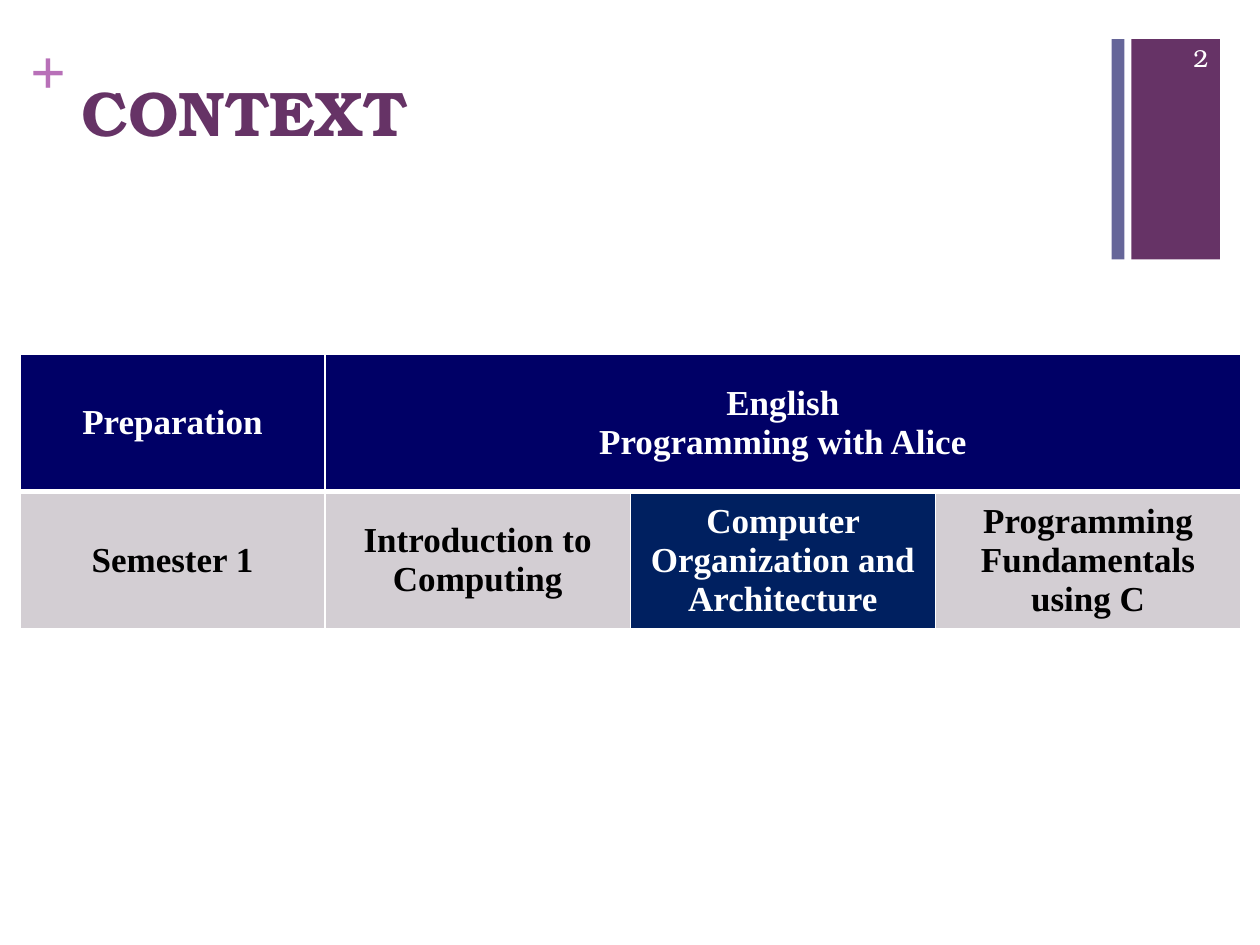
"""Build the course context slide with its semester table."""
import dataclasses
import typing

import lxml.etree
import pptx
import pptx.dml.color
import pptx.enum.shapes
import pptx.enum.text
import pptx.oxml.ns
import pptx.util

Pt = pptx.util.Pt
ALIGN = pptx.enum.text.PP_ALIGN
ANCHOR = pptx.enum.text.MSO_ANCHOR
SERIF = "Times New Roman"
BOOK = "TeX Gyre Bonum"
WHITE, PLUM, NAVY, GREY = "FFFFFF", "663366", "000066", "D3CED3"


@dataclasses.dataclass
class Style:
    font: str
    size: float
    color: str
    bold: bool = True
    align: ALIGN = ALIGN.LEFT
    anchor: ANCHOR = ANCHOR.TOP
    inset: typing.Tuple[float, float] = (7.2, 3.6)


@dataclasses.dataclass
class Bar:
    left: float
    width: float
    color: str


@dataclasses.dataclass
class Entry:
    row: int
    col: int
    text: str
    fill: str
    color: str


def rgb(color: str) -> pptx.dml.color.RGBColor:
    return pptx.dml.color.RGBColor.from_string(color)


def write(tf, text: str, style: Style) -> None:
    tf.text = text
    tf.word_wrap = True
    tf.auto_size = pptx.enum.text.MSO_AUTO_SIZE.NONE
    tf.vertical_anchor = style.anchor
    tf.margin_left = tf.margin_right = Pt(style.inset[0])
    tf.margin_top = tf.margin_bottom = Pt(style.inset[1])
    format_text(tf, style)


def format_text(tf, style: Style) -> None:
    for p in tf.paragraphs:
        p.alignment = style.align
        p.font.name = style.font
        p.font.size = Pt(style.size)
        p.font.bold = style.bold
        p.font.color.rgb = rgb(style.color)


def add_bar(s, bar: Bar) -> None:
    sp = s.shapes.add_shape(pptx.enum.shapes.MSO_SHAPE.RECTANGLE,
                            Pt(bar.left), Pt(22.3), Pt(bar.width), Pt(126))
    sp.shadow.inherit = False
    sp.fill.solid()
    sp.fill.fore_color.rgb = rgb(bar.color)
    sp.line.fill.background()


def add_text(s, left: float, top: float, width: float, height: float,
             text: str, style: Style) -> None:
    sp = s.shapes.add_textbox(Pt(left), Pt(top), Pt(width), Pt(height))
    write(sp.text_frame, text, style)


def set_borders(cell, widths: typing.Dict[str, float]) -> None:
    qn = pptx.oxml.ns.qn
    tc_pr = cell._tc.get_or_add_tcPr()
    for i, (side, width) in enumerate(widths.items()):
        ln = lxml.etree.Element(qn("a:ln" + side), w=str(int(Pt(width))))
        fill = lxml.etree.SubElement(ln, qn("a:solidFill"))
        lxml.etree.SubElement(fill, qn("a:srgbClr"), val=WHITE)
        tc_pr.insert(i, ln)


def add_courses(s, entries: typing.List[Entry]) -> None:
    table = s.shapes.add_table(2, 4, Pt(11.4), Pt(202.5), Pt(697.6), Pt(157)).table
    for col in table.columns:
        col.width = Pt(174.4)
    for row in table.rows:
        row.height = Pt(78.5)
    table.cell(0, 1).merge(table.cell(0, 3))
    for r in range(2):
        for c in range(4):
            set_borders(table.cell(r, c), {"L": 1, "R": 1, "T": 3 if r else 1,
                                           "B": 1 if r else 3})
    for entry in entries:
        cell = table.cell(entry.row, entry.col)
        cell.fill.solid()
        cell.fill.fore_color.rgb = rgb(entry.fill)
        cell.vertical_anchor = ANCHOR.MIDDLE
        cell.text = entry.text
        format_text(cell.text_frame, Style(SERIF, 20, entry.color, align=ALIGN.CENTER))


def main() -> None:
    prs = pptx.Presentation()
    prs.slide_width, prs.slide_height = Pt(720), Pt(540)
    s = prs.slides.add_slide(prs.slide_layouts[5])

    for bar in (Bar(646.5, 50.6, PLUM), Bar(635.2, 7.3, "666699")):
        add_bar(s, bar)
    add_text(s, 17.3, 18, 20.9, 43.9, "+", Style(SERIF, 36, "B870B8", inset=(0, 0)))

    title = s.shapes.title
    title.left, title.top, title.width, title.height = Pt(39.6), Pt(38.2), Pt(594.7), Pt(87.8)
    write(title.text_frame, "CONTEXT", Style(BOOK, 36, PLUM))
    add_text(s, 653.8, 18.7, 43.9, 28.8, "2",
             Style(BOOK, 14, WHITE, bold=False, align=ALIGN.RIGHT, anchor=ANCHOR.MIDDLE))

    add_courses(s, [
        Entry(0, 0, "Preparation", NAVY, WHITE),
        Entry(0, 1, "English\nProgramming with Alice", NAVY, WHITE),
        Entry(1, 0, "Semester 1", GREY, "000000"),
        Entry(1, 1, "Introduction to Computing", GREY, "000000"),
        Entry(1, 2, "Computer Organization and Architecture", "002060", WHITE),
        Entry(1, 3, "Programming Fundamentals using C", GREY, "000000"),
    ])
    prs.save("out.pptx")


main()
